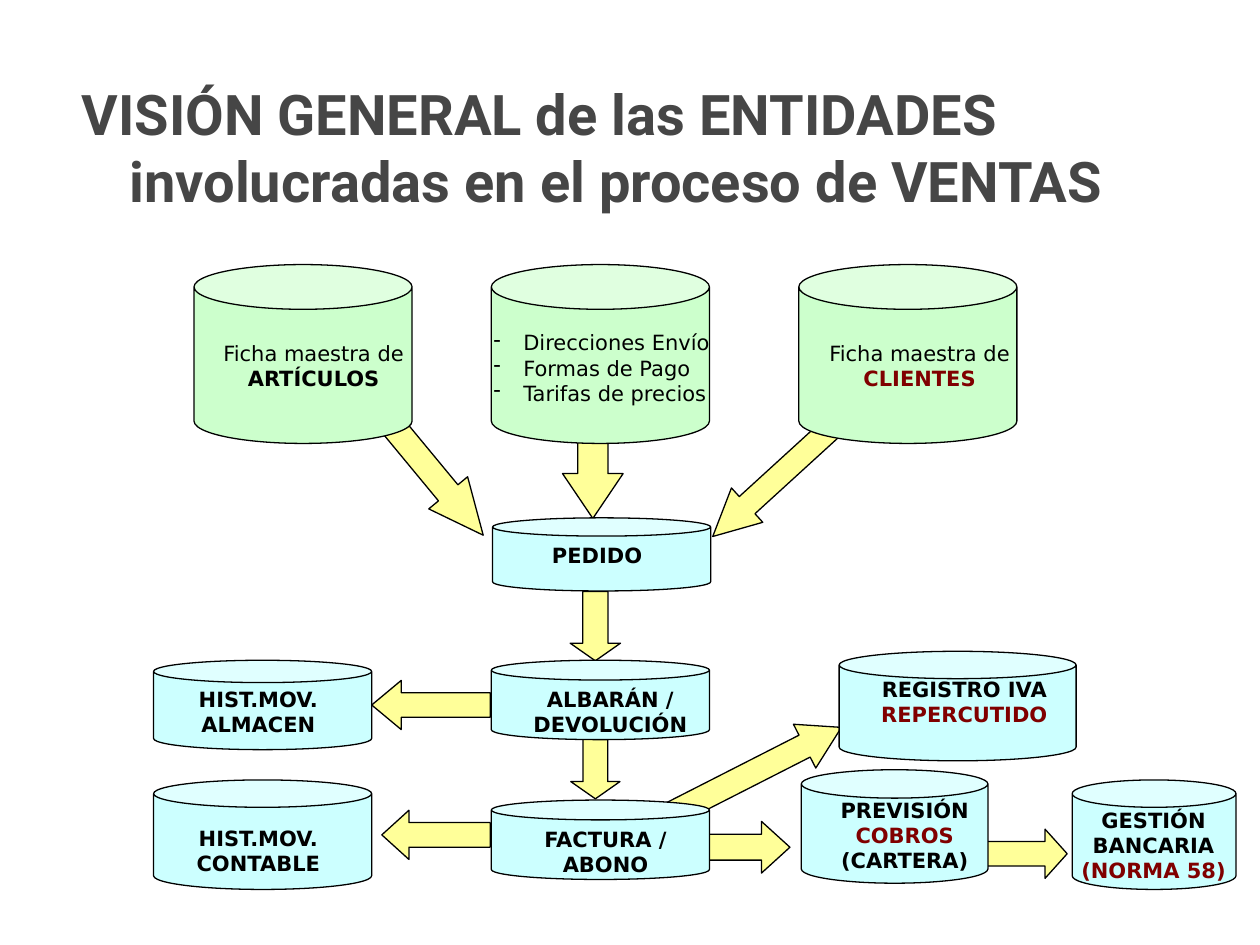
from pptx import Presentation
from pptx.dml.color import RGBColor
from pptx.enum.shapes import MSO_SHAPE
from pptx.enum.text import MSO_ANCHOR, MSO_AUTO_SIZE, PP_ALIGN
from pptx.oxml.xmlchemy import OxmlElement
from pptx.util import Pt

CAN, ARROW = MSO_SHAPE.CAN, MSO_SHAPE.RIGHT_ARROW
CENTER, LEFT = PP_ALIGN.CENTER, PP_ALIGN.LEFT
BOTTOM, NO_FIT = MSO_ANCHOR.BOTTOM, MSO_AUTO_SIZE.NONE

BLACK = RGBColor(0x00, 0x00, 0x00)
MAROON = RGBColor(0x80, 0x00, 0x00)
GRAY = RGBColor(0x46, 0x46, 0x46)
GREEN = RGBColor(0xCC, 0xFF, 0xCC)
CYAN = RGBColor(0xCC, 0xFF, 0xFF)
YELLOW = RGBColor(0xFF, 0xFF, 0x99)

BASE = {"name": "DejaVu Sans", "size": Pt(12)}
PLAIN = {**BASE, "bold": False, "color": BLACK}
BOLD = {**BASE, "bold": True, "color": BLACK}
KEY = {**BASE, "bold": True, "color": MAROON}
HEAD = {"name": "Roboto", "size": Pt(32), "bold": True, "color": GRAY}

TITLE = "VISIÓN GENERAL de las ENTIDADES\vinvolucradas en el proceso de VENTAS"
CAN_W = 124.6
COL_1, COL_2 = 87.8, 280.8
MASTER_Y, MASTER_H = 151.2, 102.2
LINE_H, INSET = 14.4, 3.6

# (left, top, width, height, rotation, head length)
ARROWS = [
    (558.7, 473.8, 51.1, 28.1, 0, 0.45),
    (382.3, 469.4, 69.1, 29.5, 0, 0.55),
    (354.2, 432, 133.9, 28.1, 333, 0.84),
    (320.4, 422.6, 39.6, 28.1, 90, 0.35),
    (320.4, 343.4, 39.6, 28.8, 90, 0.35),
    (212.4, 388.8, 67.7, 28.1, 180, 0.6),
    (218.2, 463, 61.9, 28.1, 180, 0.55),
    (392.4, 254.9, 113.8, 26.6, 137.6, 1),
    (291.6, 231.8, 94.3, 34.6, 90, 0.74),
    (180, 246.2, 117.4, 28.8, 50.4, 1.09),
]

# (fill, can box, label left/top/width, label lines, bullet, paragraphs)
ENTITIES = [
    (GREEN, (110.9, MASTER_Y, CAN_W, MASTER_H), (115.9, 190.8, 126.7), 2, None,
     [[("Ficha maestra de ", PLAIN), ("ARTÍCULOS", BOLD)]]),
    (GREEN, (COL_2, MASTER_Y, CAN_W, MASTER_H), (275, 185, 141.8), 3, "-",
     [[("Direcciones Envío", PLAIN)], [("Formas de Pago", PLAIN)],
      [("Tarifas de precios", PLAIN)]]),
    (GREEN, (456.5, MASTER_Y, CAN_W, MASTER_H), (462.2, 190.8, 126.7), 2, None,
     [[("Ficha maestra de ", PLAIN), ("CLIENTES", KEY)]]),
    (CYAN, (281.5, 295.9, CAN_W, 41.8), (293, 306.7, 96.5), 1, None,
     [[("PEDIDO", BOLD)]]),
    (CYAN, (COL_2, 377.3, CAN_W, 45.4), (292.3, 388.8, 113), 2, None,
     [[("ALBARÁN / DEVOLUCIÓN", BOLD)]]),
    (CYAN, (COL_2, 457.2, CAN_W, 45.4), (286.6, 468.7, 118.8), 2, None,
     [[("FACTURA / ABONO", BOLD)]]),
    (CYAN, (COL_1, 377.3, CAN_W, 51.1), (99.4, 388.8, 96.5), 2, None,
     [[("HIST.MOV. ALMACEN", BOLD)]]),
    (CYAN, (COL_1, 445.7, CAN_W, 62.6), (99.4, 468, 96.5), 2, None,
     [[("HIST.MOV. CONTABLE", BOLD)]]),
    (CYAN, (479.5, 372.2, 135.4, 62.6), (487.4, 383, 127.4), 2, None,
     [[("REGISTRO IVA ", BOLD), ("REPERCUTIDO", KEY)]]),
    (CYAN, (457.9, 439.9, 106.6, 64.8), (470.2, 452.2, 93.6), 3, None,
     [[("PREVISIÓN ", BOLD), ("COBROS", KEY)], [("(CARTERA)", BOLD)]]),
    (CYAN, (612.7, 445.7, 93.6, 62.6), (604.1, 457.9, 110.2), 3, None,
     [[("GESTIÓN BANCARIA ", BOLD), ("(NORMA 58)", KEY)]]),
]


def set_font(font, style):
    for key, value in style.items():
        if key == "color":
            font.color.rgb = value
        else:
            setattr(font, key, value)


def hang(p, margin, bullet=None):
    pPr = p._p.get_or_add_pPr()
    pPr.set("marL", str(Pt(margin)))
    pPr.set("indent", str(-Pt(margin)))
    if bullet:
        bu = OxmlElement("a:buChar")
        bu.set("char", bullet)
        pPr.append(bu)


def add_solid(s, kind, box, fill):
    sp = s.shapes.add_shape(kind, *map(Pt, box))
    sp.shadow.inherit = False
    sp.fill.solid()
    sp.fill.fore_color.rgb = fill
    sp.line.color.rgb = BLACK
    sp.line.width = Pt(0.75)
    return sp


def add_label(s, place, lines, bullet, paragraphs):
    box = (*place, lines * LINE_H + 2 * INSET)
    tf = s.shapes.add_textbox(*map(Pt, box)).text_frame
    tf.word_wrap = True
    for i, runs in enumerate(paragraphs):
        p = tf.add_paragraph() if i else tf.paragraphs[0]
        p.alignment = LEFT if bullet else CENTER
        if bullet:
            hang(p, 17, bullet)
        for text, style in runs:
            r = p.add_run()
            r.text = text
            set_font(r.font, style)


def add_title(s):
    sp = s.shapes.title
    sp.left, sp.top, sp.width, sp.height = map(Pt, (39.6, 9.4, 661, 116.6))
    tf = sp.text_frame
    tf.auto_size = NO_FIT
    tf.vertical_anchor = BOTTOM
    p = tf.paragraphs[0]
    p.text = TITLE
    p.alignment = LEFT
    hang(p, 27)
    for r in p.runs:
        set_font(r.font, HEAD)


def main():
    prs = Presentation()
    prs.slide_width, prs.slide_height = Pt(720), Pt(540)
    s = prs.slides.add_slide(prs.slide_layouts[5])
    add_title(s)
    for *box, rotation, head in ARROWS:
        sp = add_solid(s, ARROW, box, YELLOW)
        sp.rotation = rotation
        sp.adjustments[1] = head
    for fill, box, place, lines, bullet, paragraphs in ENTITIES:
        add_solid(s, CAN, box, fill)
        add_label(s, place, lines, bullet, paragraphs)
    prs.save("out.pptx")


if __name__ == "__main__":
    main()
